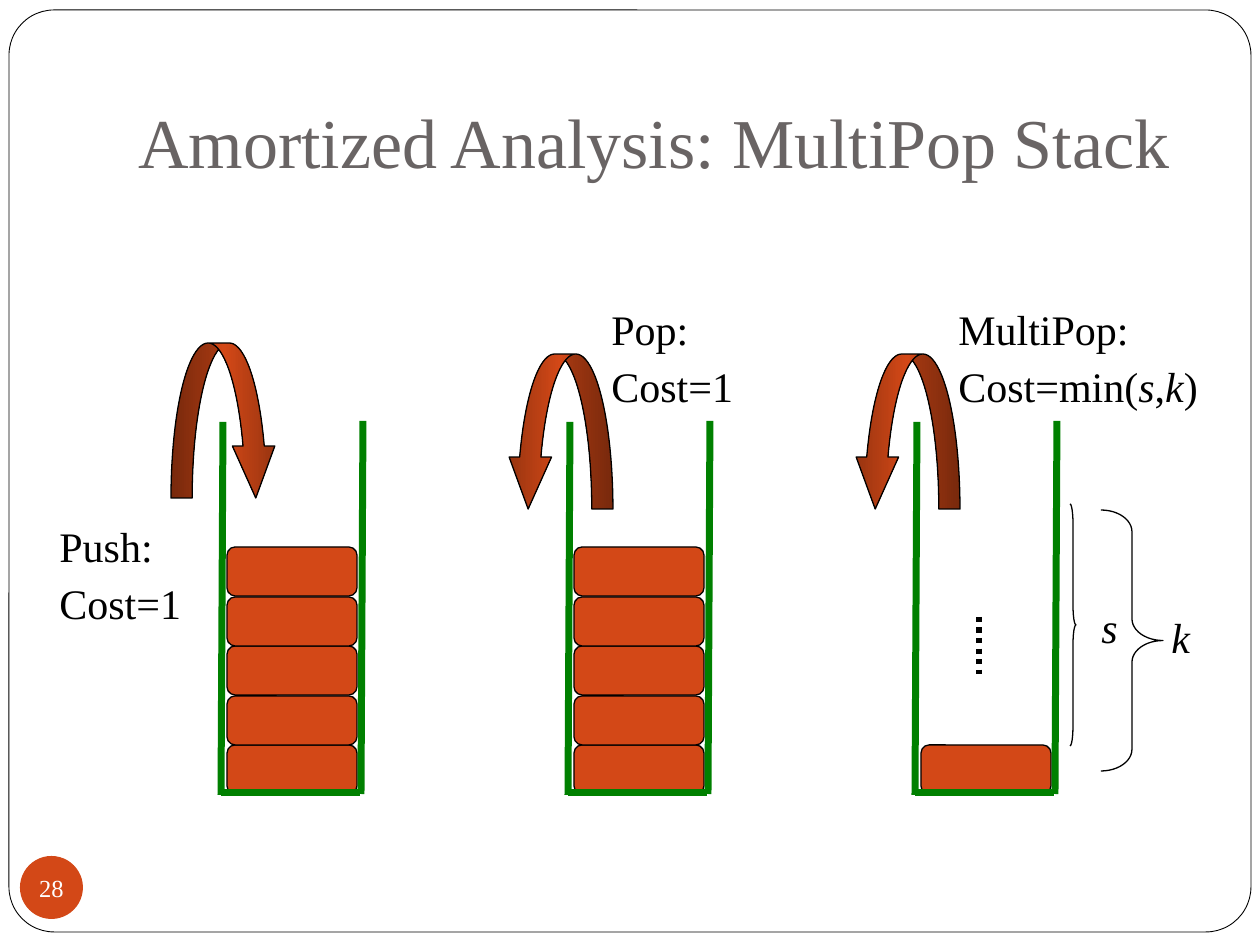
from copy import deepcopy

from pptx import Presentation
from pptx.dml.color import RGBColor
from pptx.enum.dml import MSO_LINE
from pptx.enum.shapes import MSO_CONNECTOR, MSO_SHAPE
from pptx.enum.text import MSO_ANCHOR, PP_ALIGN
from pptx.oxml.ns import qn
from pptx.util import Emu, Pt

SCALE = 914400 / 126
FONT = "Times New Roman"
COLORS = {
    "white": "FFFFFF", "black": "000000", "title": "696464",
    "block": "D34817", "shade": "973410", "wall": "008000",
}
ROUND, OVAL = MSO_SHAPE.ROUNDED_RECTANGLE, MSO_SHAPE.OVAL
ARROW, BRACE = MSO_SHAPE.CURVED_DOWN_ARROW, MSO_SHAPE.RIGHT_BRACE
STRAIGHT, DOTTED = MSO_CONNECTOR.STRAIGHT, MSO_LINE.ROUND_DOT
BOTTOM, MIDDLE, CENTER = MSO_ANCHOR.BOTTOM, MSO_ANCHOR.MIDDLE, PP_ALIGN.CENTER
BIN_X, BIN_STEP = 221, 347


def px(n):
    return Emu(round(n * SCALE))


def color(name):
    return RGBColor.from_string(COLORS[name])


def add_shape(slide, kind, box, fill=None, line=0.75, adjust=()):
    shape = slide.shapes.add_shape(kind, *map(px, box))
    shape.shadow.inherit = False
    if fill:
        shape.fill.solid()
        shape.fill.fore_color.rgb = color(fill)
    else:
        shape.fill.background()
    if line:
        shape.line.color.rgb = color("black")
        shape.line.width = Pt(line)
    else:
        shape.line.fill.background()
    for i, value in enumerate(adjust):
        shape.adjustments[i] = value
    return shape


def add_line(slide, start, end, tone, width):
    line = slide.shapes.add_connector(STRAIGHT, *map(px, start + end))
    line.line.color.rgb = color(tone)
    line.line.width = Pt(width)
    props = line._element.spPr
    props.append(props.makeelement(qn("a:effectLst"), {}))
    return line


def style(run, size, tone, italic=False):
    run.font.name = FONT
    run.font.size = Pt(size)
    run.font.color.rgb = color(tone)
    run.font.italic = italic


def add_text(slide, box, lines, size=24, tone="black"):
    """Each line is a list of pieces; pieces with odd index are italic."""
    frame = slide.shapes.add_textbox(*map(px, box)).text_frame
    frame.word_wrap = True
    for i, pieces in enumerate(lines):
        para = frame.paragraphs[0] if i == 0 else frame.add_paragraph()
        if i:
            para.space_before = Pt(4)
        for j, piece in enumerate(pieces):
            if piece:
                run = para.add_run()
                run.text = piece
                style(run, size, tone, j % 2 == 1)
    return frame


def add_stack(slide, left, count):
    for i in range(count):
        add_shape(slide, ROUND, (left + 6, 745 - 99 * i // 2, 130, 49), "block")
    add_line(slide, (left, 793), (left + 139, 793), "wall", 4)
    for x, top, base in ((left, 422, 795), (left + 140, 421, 794)):
        add_line(slide, (x, base), (x + 2, top), "wall", 4)


def add_arrow(slide, left, top, flip):
    arrow = add_shape(slide, ARROW, (left, top, 106, 155), adjust=(0.2, 0.4, 0.49))
    arrow.fill.gradient()
    arrow.fill.gradient_angle = 0
    stops = arrow._element.spPr.find(qn("a:gradFill")).find(qn("a:gsLst"))
    stops.append(deepcopy(stops[0]))
    tones = ("shade", "block", "shade")
    for i, (stop, tone) in enumerate(zip(arrow.fill.gradient_stops, tones)):
        stop.position = i / 2
        stop.color.rgb = color(tone)
    if flip:
        arrow._element.spPr.find(qn("a:xfrm")).set("flipH", "1")


def add_badge(slide, number):
    frame = add_shape(slide, OVAL, (20, 856, 63, 63), "block", 0).text_frame
    frame.margin_left = frame.margin_right = 0
    frame.margin_top = frame.margin_bottom = 0
    frame.word_wrap = False
    frame.vertical_anchor = MIDDLE
    frame.text = number
    frame.paragraphs[0].alignment = CENTER
    style(frame.paragraphs[0].runs[0], 14, "white")


def main():
    deck = Presentation()
    deck.slide_width, deck.slide_height = px(1260), px(945)
    slide = deck.slides.add_slide(deck.slide_layouts[6])

    add_shape(slide, ROUND, (9, 10, 1242, 922), "white", 0.5, (0.049,))
    title = add_text(slide, (126, 38, 1071, 157),
                     [["Amortized Analysis: MultiPop Stack"]], 40, "title")
    title.vertical_anchor = BOTTOM
    title.margin_bottom = px(13)

    for i, count in enumerate((5, 5, 1)):
        add_stack(slide, BIN_X + i * BIN_STEP, count)
    add_line(slide, (979, 617), (979, 674), "black", 3).line.dash_style = DOTTED

    for left, top, flip in ((171, 343, False), (507, 354, True), (854, 354, True)):
        add_arrow(slide, left, top, flip)

    add_text(slide, (47, 514, 210, 118), [["Push:"], ["Cost=1"]])
    add_text(slide, (599, 297, 210, 118), [["Pop:"], ["Cost=1"]])
    add_text(slide, (946, 297, 280, 118),
             [["MultiPop:"], ["Cost=min(", "s", ",", "k", ")"]])

    add_shape(slide, BRACE, (1070, 504, 6, 242), adjust=(3.29, 0.5))
    add_shape(slide, BRACE, (1101, 510, 62, 261), adjust=(0.35, 0.5))
    add_text(slide, (1089, 595, 55, 63), [["", "s"]])
    add_text(slide, (1159, 605, 55, 63), [["", "k"]])
    add_badge(slide, "28")

    deck.save("out.pptx")


if __name__ == "__main__":
    main()
